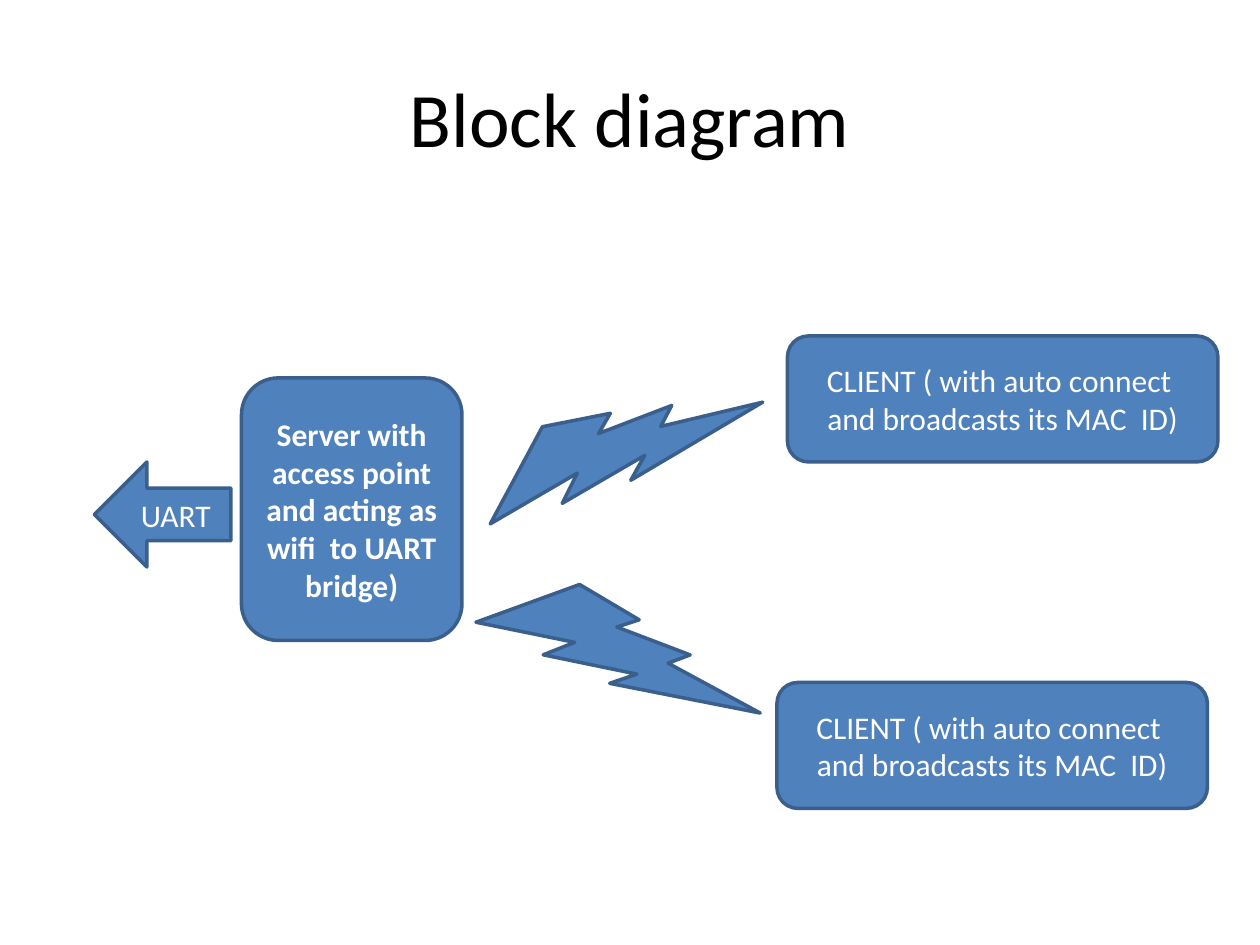
"""Block diagram of a UART server linked by radio to two clients."""
from pptx import Presentation
from pptx.dml.color import RGBColor
from pptx.enum import shapes, text
from pptx.util import Pt

BLUE = RGBColor(0x4F, 0x81, 0xBD)
EDGE = RGBColor(0x3A, 0x5F, 0x8C)
WHITE = RGBColor(255, 255, 255)
BLACK = RGBColor(0, 0, 0)
KIND = shapes.MSO_SHAPE

deck = Presentation()
deck.slide_width, deck.slide_height = Pt(720), Pt(540)
slide = deck.slides.add_slide(deck.slide_layouts[6])


def write(shape, words, size, color, bold=False):
    frame = shape.text_frame
    frame.word_wrap = True
    frame.vertical_anchor = text.MSO_ANCHOR.MIDDLE
    para = frame.paragraphs[0]
    para.text = words
    para.alignment = text.PP_ALIGN.CENTER
    font = para.font
    font.name, font.size, font.bold = "Calibri", Pt(size), bold
    font.color.rgb = color


title = slide.shapes.add_textbox(Pt(36), Pt(21.6), Pt(648), Pt(90))
write(title, "Block diagram", 44, BLACK)

server = "Server with access point and acting as wifi  to UART bridge)"
client = "CLIENT ( with auto connect  and broadcasts its MAC  ID)"
blocks = [
    (KIND.ROUNDED_RECTANGLE, 138, 216, 126, 150, 0, server, True),
    (KIND.LEFT_ARROW, 54, 264, 78, 60, 0, "UART", False),
    (KIND.LIGHTNING_BOLT, 274.4, 217.5, 156, 84, 312.1, "", False),
    (KIND.LIGHTNING_BOLT, 274.4, 332, 156, 84, 353.9, "", False),
    (KIND.ROUNDED_RECTANGLE, 444, 390, 246, 72, 0, client, False),
    (KIND.ROUNDED_RECTANGLE, 450, 192, 246, 72, 0, client, False),
]
for kind, left, top, width, height, turn, words, bold in blocks:
    block = slide.shapes.add_shape(kind, Pt(left), Pt(top), Pt(width), Pt(height))
    block.rotation = turn
    block.shadow.inherit = False
    block.fill.solid()
    block.fill.fore_color.rgb = BLUE
    block.line.color.rgb = EDGE
    block.line.width = Pt(2)
    if words:
        write(block, words, 18, WHITE, bold)

deck.save("out.pptx")
